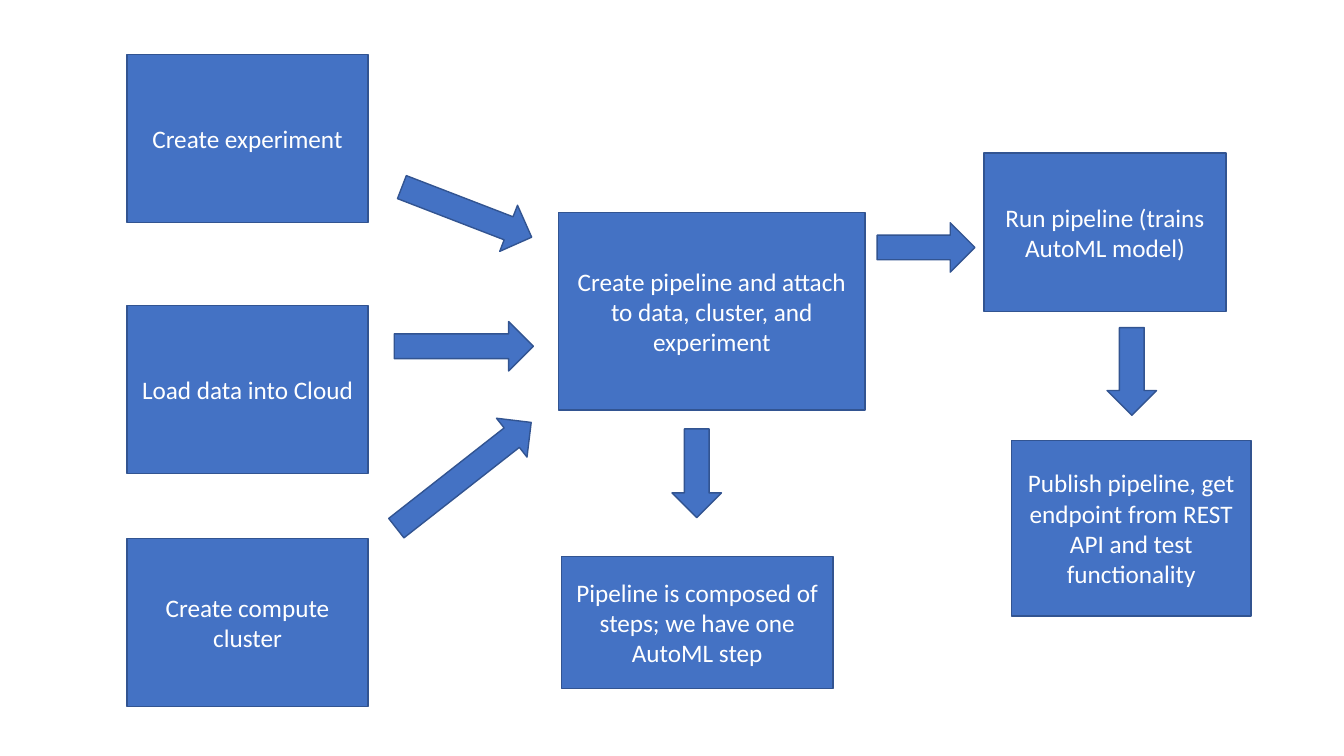
from dataclasses import dataclass

from pptx import Presentation
from pptx import util as u
from pptx.dml.color import RGBColor
from pptx.enum import shapes, text

BLUE = RGBColor(0x44, 0x72, 0xC4)
NAVY = RGBColor(0x32, 0x54, 0x91)
WHITE = RGBColor(0xFF, 0xFF, 0xFF)
KIND = shapes.MSO_SHAPE


@dataclass
class Box:
    left: float
    top: float
    width: float
    height: float
    label: str


@dataclass
class Arrow:
    left: float
    top: float
    width: float
    turn: float = 0
    height: float = 0.49


INPUTS = [
    Box(1.26, top, 2.39, 1.67, label)
    for top, label in (
        (0.54, "Create experiment"),
        (3.03, "Load data into Cloud"),
        (5.34, "Create compute cluster"),
    )
]
STEPS = [
    Box(5.54, 2.11, 3.04, 1.96,
        "Create pipeline and attach to data, cluster, and experiment"),
    Box(5.57, 5.52, 2.69, 1.31,
        "Pipeline is composed of steps; we have one AutoML step"),
    Box(9.76, 1.52, 2.4, 1.57, "Run pipeline (trains AutoML model)"),
    Box(10.03, 4.37, 2.38, 1.74,
        "Publish pipeline, get endpoint from REST API and test functionality"),
]
ARROWS = [
    Arrow(3.94, 1.86, 1.38, 21.1),
    Arrow(3.91, 3.19, 1.38),
    Arrow(3.75, 4.47, 1.7, 321.9),
    Arrow(6.47, 4.45, 0.88, 90),
    Arrow(10.79, 3.44, 0.87, 90),
    Arrow(8.7, 2.21, 0.97),
]


def place(slide, kind: KIND, item: Box | Arrow):
    shape = slide.shapes.add_shape(
        kind, u.Inches(item.left), u.Inches(item.top),
        u.Inches(item.width), u.Inches(item.height))
    shape.shadow.inherit = False
    shape.fill.solid()
    shape.fill.fore_color.rgb = BLUE
    shape.line.color.rgb = NAVY
    shape.line.width = u.Pt(1)
    return shape


def draw_box(slide, box: Box) -> None:
    frame = place(slide, KIND.RECTANGLE, box).text_frame
    frame.word_wrap = True
    frame.vertical_anchor = text.MSO_ANCHOR.MIDDLE
    frame.text = box.label
    line = frame.paragraphs[0]
    line.alignment = text.PP_ALIGN.CENTER
    font = line.runs[0].font
    font.name = "Calibri"
    font.size = u.Pt(18)
    font.color.rgb = WHITE


def draw_arrow(slide, arrow: Arrow) -> None:
    place(slide, KIND.RIGHT_ARROW, arrow).rotation = arrow.turn


deck = Presentation()
deck.slide_width = u.Inches(13.33)
deck.slide_height = u.Inches(7.5)
slide = deck.slides.add_slide(deck.slide_layouts[6])

for box in INPUTS + STEPS:
    draw_box(slide, box)
for arrow in ARROWS:
    draw_arrow(slide, arrow)

deck.save("out.pptx")
